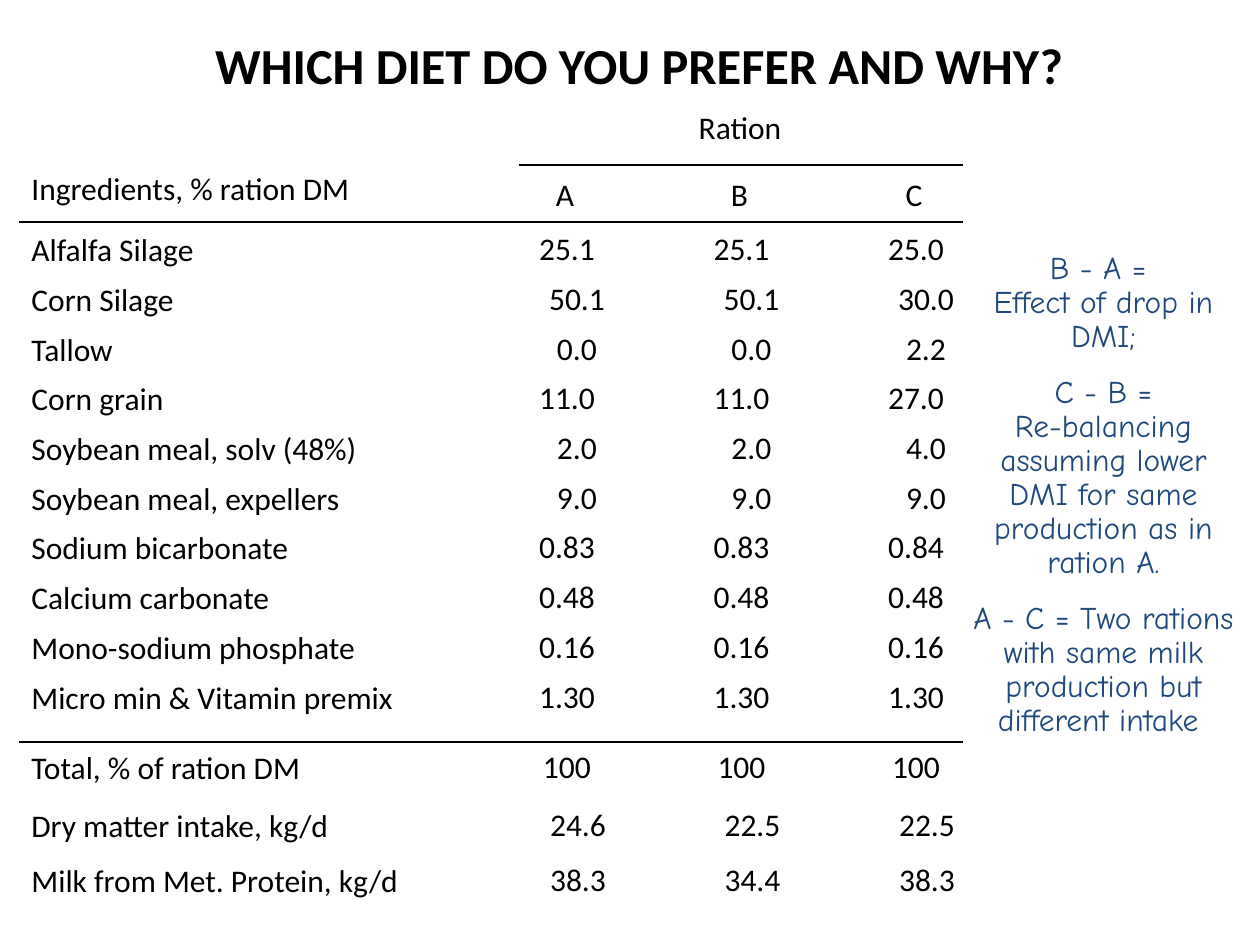
from pptx import Presentation
from pptx.dml.color import RGBColor as RGB
from pptx.enum.shapes import MSO_CONNECTOR as LINK
from pptx.enum.text import MSO_ANCHOR as ANCHOR, MSO_AUTO_SIZE as FIT, PP_ALIGN as ALIGN
from pptx.util import Pt
from lxml import etree

BLACK = RGB(0, 0, 0)
NAVY = RGB(0x1F, 0x49, 0x7D)
NS = "http://schemas.openxmlformats.org/drawingml/2006/main"


def px(n):
    return round(n * 914400 / 126)


def put(lines, x, y, w, h=47, align=ALIGN.CENTER, wrap=False, fit=FIT.SHAPE_TO_FIT_TEXT,
        space=0.9, gaps=(), size=18, name="Calibri", bold=False, color=BLACK):
    frame = page.shapes.add_textbox(px(x), px(y), px(w), px(h)).text_frame
    for key, val in {"word_wrap": wrap, "auto_size": fit,
                     "vertical_anchor": ANCHOR.MIDDLE}.items():
        setattr(frame, key, val)
    for i, line in enumerate(lines):
        para = frame.paragraphs[0] if i == 0 else frame.add_paragraph()
        para.alignment = align
        para.line_spacing = space
        if i in gaps:
            para.space_before = Pt(12.5)
        run = para.add_run()
        run.text = line
        for key, val in {"size": Pt(size), "name": name, "bold": bold}.items():
            setattr(run.font, key, val)
        run.font.color.rgb = color


deck = Presentation()
deck.slide_width, deck.slide_height = px(1260), px(945)
page = deck.slides.add_slide(deck.slide_layouts[6])

put(["WHICH DIET DO YOU PREFER AND WHY?"], 164, 25, 951, 79,
    wrap=True, fit=FIT.NONE, space=1.0, size=28.8, bold=True)
put(["Ration"], 685, 106, 110)
put(["Ingredients, % ration DM"], 19, 163, 348, 50, align=ALIGN.LEFT, space=1.0)

STEP = 174.5
for col, head in enumerate("ABC"):
    put([head], 543 + col * STEP, 173, 44)

mix = [
    ("Alfalfa Silage", 189, "25.1 25.1 25.0"),
    ("Corn Silage", 169, "50.1 50.1 30.0"),
    ("Tallow", 107, "0.0 0.0 2.2"),
    ("Corn grain", 159, "11.0 11.0 27.0"),
    ("Soybean meal, solv (48%)", 354, "2.0 2.0 4.0"),
    ("Soybean meal, expellers", 338, "9.0 9.0 9.0"),
    ("Sodium bicarbonate", 286, "0.83 0.83 0.84"),
    ("Calcium carbonate", 266, "0.48 0.48 0.48"),
    ("Mono-sodium phosphate", 353, "0.16 0.16 0.16"),
    ("Micro min & Vitamin premix", 391, "1.30 1.30 1.30"),
]
rows = [(228 + 49.7 * i, 577 if "0.0" in vals or len(vals) == 11 else 567, name, wide, vals)
        for i, (name, wide, vals) in enumerate(mix)]
rows += [
    (746, 567, "Total, % of ration DM", 297, "100 100 100"),
    (804, 578, "Dry matter intake, kg/d", 326, "24.6 22.5 22.5"),
    (859, 578, "Milk from Met. Protein, kg/d", 411, "38.3 34.4 38.3"),
]
WIDE = {"100": 74}
for top, mid, name, wide, vals in rows:
    put([name], 19, top, wide, align=ALIGN.LEFT)
    for col, val in enumerate(vals.split()):
        w = WIDE.get(val, 82 if len(val) == 4 else 66)
        put([val], mid - w / 2 + col * STEP, top - 1, w)

for left, y in [(519, 165), (19, 222), (19, 742)]:
    rule = page.shapes.add_connector(LINK.STRAIGHT, px(left), px(y), px(963), px(y))
    rule.line.color.rgb = BLACK
    rule.line.width = Pt(1.5)
    etree.SubElement(rule.element.spPr, f"{{{NS}}}effectLst")

notes = [
    "B - A = ",
    "Effect of drop in DMI;",
    "C - B =",
    "Re-balancing assuming lower DMI for same production as in ration A.",
    "A - C = Two rations with same milk production but different intake ",
]
put(notes, 958, 226, 291, 539, wrap=True, gaps=(2, 4), name="Comic Neue", color=NAVY)

deck.save("out.pptx")
